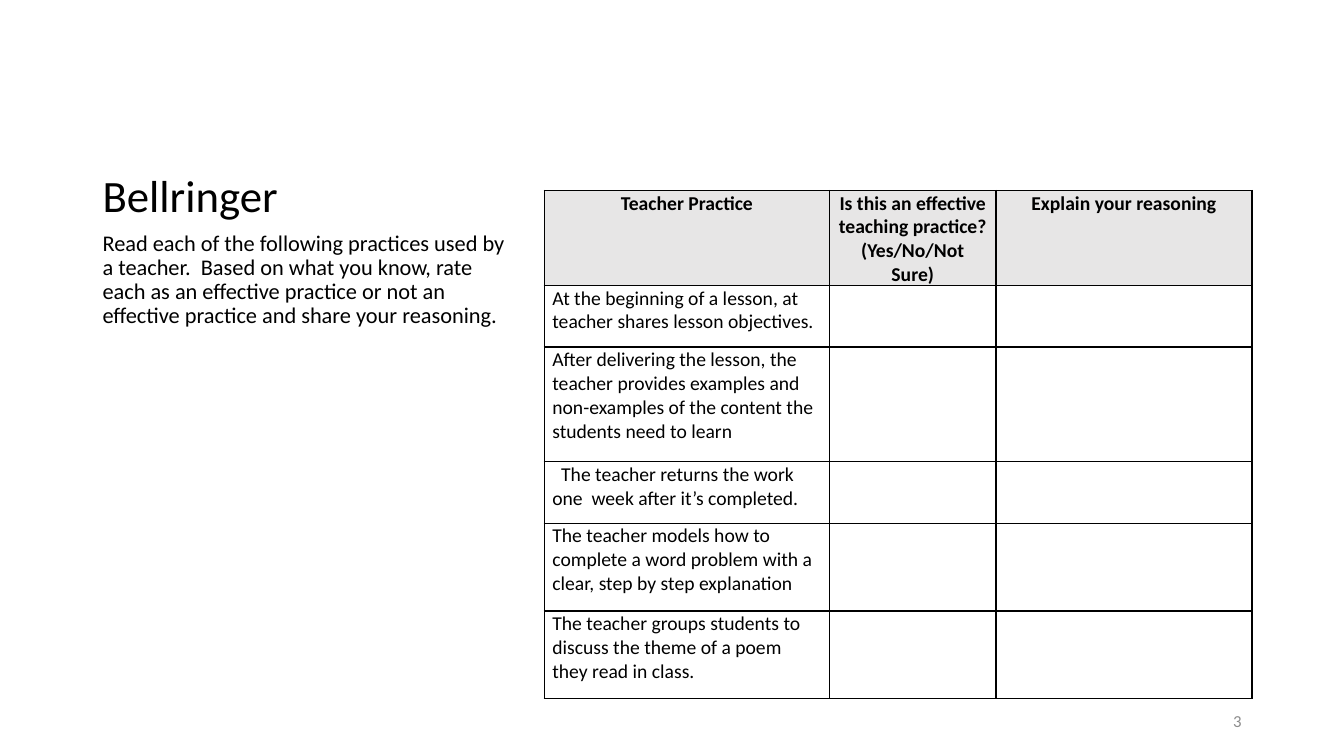
import pptx
import pptx.util
import pptx.dml.color
import pptx.enum.text
import pptx.oxml
import pptx.oxml.ns
import lxml.etree

Pt = pptx.util.Pt
ALIGN = pptx.enum.text.PP_ALIGN
ANCHOR = pptx.enum.text.MSO_ANCHOR
BLACK = pptx.dml.color.RGBColor(0x00, 0x00, 0x00)
GRAY = pptx.dml.color.RGBColor(0x8C, 0x8C, 0x8C)
HEADER_FILL = pptx.dml.color.RGBColor(0xE7, 0xE6, 0xE6)
FONT = "Calibri"

HEADERS = [
    "Teacher Practice",
    "Is this an effective teaching practice? (Yes/No/Not Sure)",
    "Explain your reasoning",
]
PRACTICES = [
    "At the beginning of a lesson, at teacher shares lesson objectives.",
    "After delivering the lesson, the teacher provides examples and non-examples "
    "of the content the students need to learn",
    "The teacher returns the work one  week after it’s completed.",
    "The teacher models how to complete a word problem with a clear, "
    "step by step explanation",
    "The teacher groups students to discuss the theme of a poem they read in class.",
]
INDENTED_PRACTICE = 2
COLUMN_WIDTHS = [203.8, 118.8, 182.9]
ROW_HEIGHTS = [62.6, 43.9, 82.1, 43.9, 62.6, 62.6]


def style_runs(paragraph, size, color=BLACK, bold=False):
    for run in paragraph.runs:
        run.font.name = FONT
        run.font.size = Pt(size)
        run.font.bold = bold
        run.font.color.rgb = color


def add_text(slide, box, text, size, anchor, color=BLACK):
    frame = slide.shapes.add_textbox(*map(Pt, box)).text_frame
    frame.word_wrap = True
    frame.vertical_anchor = anchor
    frame.text = text
    paragraph = frame.paragraphs[0]
    style_runs(paragraph, size, color)
    return paragraph


def add_prompt(slide, left, top, width, title_height, body_height):
    title = add_text(slide, (left, top, width, title_height),
                     "Bellringer", 32, ANCHOR.BOTTOM)
    instructions = add_text(
        slide, (left, top + title_height, width, body_height),
        "Read each of the following practices used by a teacher.  Based on what "
        "you know, rate each as an effective practice or not an effective practice "
        "and share your reasoning", 16, ANCHOR.TOP)
    period = instructions.add_run()
    period.text = "."
    style_runs(instructions, 16)
    period.font.italic = True
    for paragraph in (title, instructions):
        paragraph.line_spacing = 0.9


def add_borders(cell):
    properties = cell._tc.get_or_add_tcPr()
    for side in ("lnL", "lnR", "lnT", "lnB"):
        line = lxml.etree.SubElement(properties, pptx.oxml.ns.qn(f"a:{side}"), w=str(Pt(1)))
        fill = lxml.etree.SubElement(line, pptx.oxml.ns.qn("a:solidFill"))
        lxml.etree.SubElement(fill, pptx.oxml.ns.qn("a:srgbClr"), val=str(BLACK))


def fill_cell(cell, text, is_header):
    add_borders(cell)
    cell.margin_left = cell.margin_right = Pt(5.76)
    cell.margin_top = Pt(0.7)
    cell.margin_bottom = Pt(0)
    if is_header:
        cell.fill.solid()
        cell.fill.fore_color.rgb = HEADER_FILL
    else:
        cell.fill.background()
    cell.text = text
    paragraph = cell.text_frame.paragraphs[0]
    paragraph.alignment = ALIGN.CENTER if is_header else ALIGN.LEFT
    paragraph.space_after = Pt(6)
    paragraph.font.size = Pt(14)
    style_runs(paragraph, 14, bold=is_header)
    return paragraph


def add_practice_table(slide, left, top):
    rows = [HEADERS] + [[practice, "", ""] for practice in PRACTICES]
    table = slide.shapes.add_table(
        len(rows), len(HEADERS), Pt(left), Pt(top),
        Pt(sum(COLUMN_WIDTHS)), Pt(sum(ROW_HEIGHTS))).table
    table.horz_banding = False
    for column, width in zip(table.columns, COLUMN_WIDTHS):
        column.width = Pt(width)
    for row, height in zip(table.rows, ROW_HEIGHTS):
        row.height = Pt(height)
    for r, texts in enumerate(rows):
        for c, text in enumerate(texts):
            paragraph = fill_cell(table.cell(r, c), text, r == 0)
            if (r, c) == (INDENTED_PRACTICE + 1, 0):
                paragraph._p.get_or_add_pPr().set("indent", str(Pt(6.3)))


def add_page_number(slide, left, top, width, height):
    number = add_text(slide, (left, top, width, height), "3", 12, ANCHOR.MIDDLE, GRAY)
    number.alignment = ALIGN.RIGHT
    number.space_after = Pt(6)


def main():
    deck = pptx.Presentation()
    deck.slide_width = Pt(960)
    deck.slide_height = Pt(540)
    slide = deck.slides.add_slide(deck.slide_layouts[6])
    add_prompt(slide, 66.2, 36, 309.6, 126, 300)
    add_practice_table(slide, 388.8, 136)
    add_page_number(slide, 678, 500.5, 216, 28.8)
    deck.save("out.pptx")


if __name__ == "__main__":
    main()
